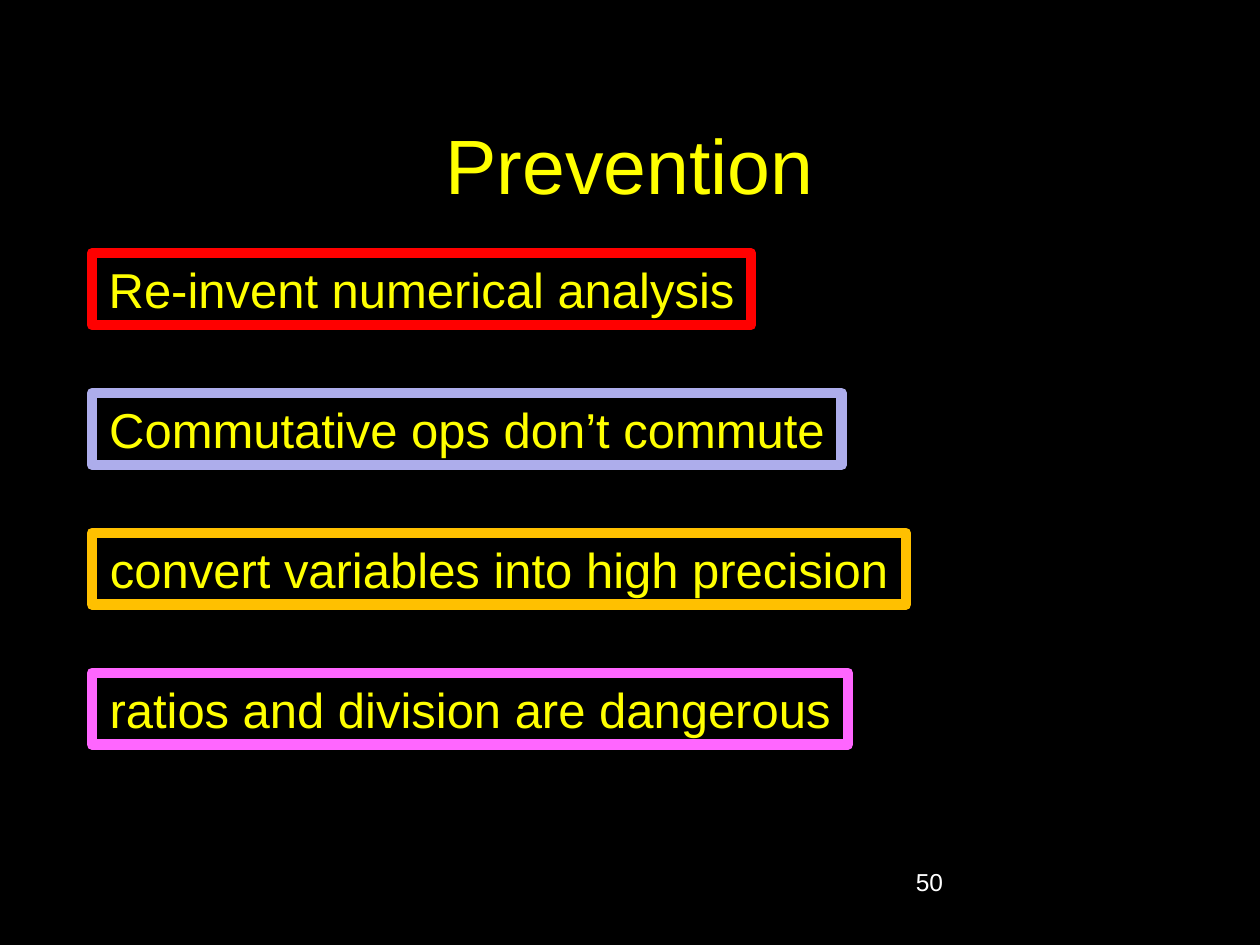
from pptx import Presentation
from pptx.dml.color import RGBColor
from pptx.enum.shapes import MSO_SHAPE
from pptx.enum.text import MSO_ANCHOR, MSO_AUTO_SIZE, PP_ALIGN
from pptx.util import Inches, Pt

RECT = MSO_SHAPE.RECTANGLE
TOP, MIDDLE = MSO_ANCHOR.TOP, MSO_ANCHOR.MIDDLE
LEFT, CENTER = PP_ALIGN.LEFT, PP_ALIGN.CENTER
FIT_SHAPE = MSO_AUTO_SIZE.SHAPE_TO_FIT_TEXT

# Content
TITLE = "Prevention"
PAGE_NUMBER = "50"
RULES = [  # text, border colour, box width
    ("Re-invent numerical analysis", "red", 5.23),
    ("Commutative ops don’t commute", "lavender", 6.46 - 0.51),
    ("convert variables into high precision", "amber", 6.46),
    ("ratios and division are dangerous", "pink", 6),
]

THEME = {
    "font": "Arial",
    "sizes": {"title": 44, "rule": 28, "number": 14},
    "border": 6,
    "colors": {
        "black": "000000", "yellow": "FFFF00", "white": "FFFFFF",
        "red": "FF0000", "lavender": "ADADEB", "amber": "FFC000",
        "pink": "FF66FF",
    },
}

# Layout in inches
SLIDE_W, SLIDE_H = 10, 7.5
MARGIN = 0.75
RULE_LEFT, RULE_TOP, RULE_H, RULE_PITCH = 0.73, 2.01, 0.57, 1.11
NUMBER_W = 2.08


def color(name):
    return RGBColor.from_string(THEME["colors"][name])


def write(sp, text, role, ink, align, anchor, wrap=True):
    tf = sp.text_frame
    tf.text = text
    tf.word_wrap = wrap
    tf.vertical_anchor = anchor
    p = tf.paragraphs[0]
    p.alignment = align
    font = p.runs[0].font
    font.name = THEME["font"]
    font.size = Pt(THEME["sizes"][role])
    font.color.rgb = color(ink)


def add_text(s, box, *style):
    write(s.shapes.add_textbox(*map(Inches, box)), *style)


def add_rule(s, row, text, border, width):
    box = (RULE_LEFT, RULE_TOP + row * RULE_PITCH, width, RULE_H)
    sp = s.shapes.add_shape(RECT, *map(Inches, box))
    sp.shadow.inherit = False
    sp.fill.solid()
    sp.fill.fore_color.rgb = color("black")
    sp.line.color.rgb = color(border)
    sp.line.width = Pt(THEME["border"])
    write(sp, text, "rule", "yellow", CENTER, TOP, wrap=False)
    sp.text_frame.auto_size = FIT_SHAPE


def main():
    prs = Presentation()
    prs.slide_width, prs.slide_height = Inches(SLIDE_W), Inches(SLIDE_H)
    s = prs.slides.add_slide(prs.slide_layouts[6])
    s.background.fill.solid()
    s.background.fill.fore_color.rgb = color("black")

    # Title and page number
    add_text(s, (MARGIN, 0.67, SLIDE_W - 2 * MARGIN, 1.25),
             TITLE, "title", "yellow", CENTER, MIDDLE)
    add_text(s, (SLIDE_W - MARGIN - NUMBER_W, 6.83, NUMBER_W, 0.5),
             PAGE_NUMBER, "number", "white", LEFT, TOP)

    # Framed rules, evenly stacked
    for row, rule in enumerate(RULES):
        add_rule(s, row, *rule)

    prs.save("out.pptx")


if __name__ == "__main__":
    main()
